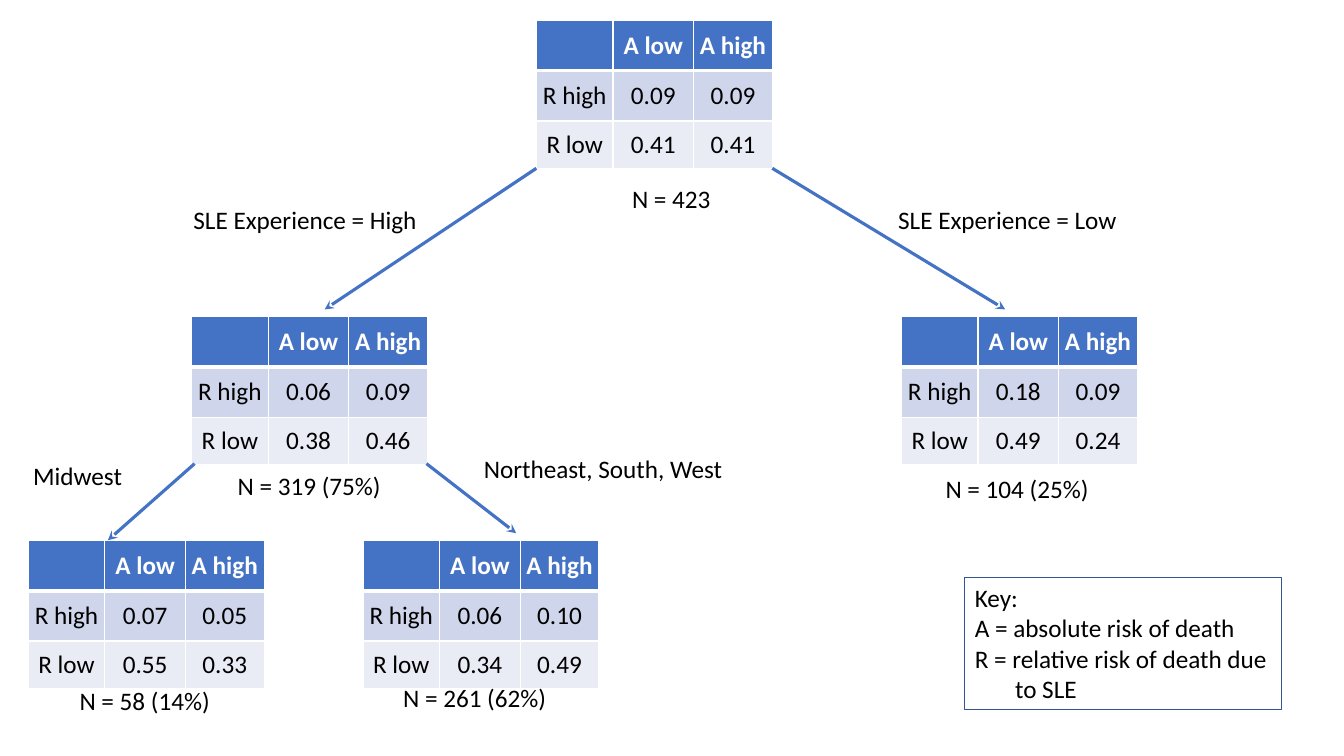
from pptx import Presentation
from pptx.dml.color import RGBColor
from pptx.enum.shapes import MSO_CONNECTOR as Connector, MSO_SHAPE as Shape
from pptx.enum.text import MSO_ANCHOR as Anchor, MSO_AUTO_SIZE as AutoSize, PP_ALIGN as Align
from pptx.oxml.ns import qn
from pptx.util import Inches, Pt
from lxml.etree import SubElement

COLORS = {"header": "4472C4", "band": "CFD5EA", "light": "E9EBF5",
          "white": "FFFFFF", "black": "000000", "key_line": "325491"}
COLUMN_WIDTHS = (0.76, 0.8, 0.78)
ROW_HEIGHTS = (0.5, 0.5, 0.47)
ROW_FILLS = ("header", "band", "light")


class RiskTree:
    font = "Calibri"
    size = Pt(18)

    def __init__(self, slide):
        self.slide = slide

    def color(self, name):
        return RGBColor.from_string(COLORS[name])

    def run(self, paragraph, content, color="black", bold=False):
        run = paragraph.add_run()
        run.text = content
        run.font.name, run.font.size, run.font.bold = self.font, self.size, bold
        run.font.color.rgb = self.color(color)

    def borders(self, cell, row):
        properties = cell._tc.get_or_add_tcPr()
        thick_side = {0: "lnB", 1: "lnT"}.get(row)
        for side in ("lnL", "lnR", "lnT", "lnB"):
            width = Pt(3 if side == thick_side else 1)
            line = SubElement(properties, qn(f"a:{side}"), w=str(width))
            fill = SubElement(line, qn("a:solidFill"))
            SubElement(fill, qn("a:srgbClr"), val=COLORS["white"])

    def risk_table(self, left, top, high_risks, low_risks):
        rows = (("", "A low", "A high"), ("R high", *high_risks), ("R low", *low_risks))
        table = self.slide.shapes.add_table(
            3, 3, Inches(left), Inches(top),
            Inches(sum(COLUMN_WIDTHS)), Inches(sum(ROW_HEIGHTS))).table
        for column, width in zip(table.columns, COLUMN_WIDTHS):
            column.width = Inches(width)
        for r, (values, height) in enumerate(zip(rows, ROW_HEIGHTS)):
            table.rows[r].height = Inches(height)
            for c, value in enumerate(values):
                cell = table.cell(r, c)
                cell.margin_left = cell.margin_right = cell.margin_top = cell.margin_bottom = 0
                cell.vertical_anchor = Anchor.MIDDLE
                self.borders(cell, r)
                cell.fill.solid()
                cell.fill.fore_color.rgb = self.color(ROW_FILLS[r])
                if value:
                    paragraph = cell.text_frame.paragraphs[0]
                    paragraph.alignment = Align.CENTER
                    self.run(paragraph, value, "white" if r == 0 else "black", r == 0)

    def label(self, left, top, width, content):
        box = self.slide.shapes.add_textbox(Inches(left), Inches(top), Inches(width), Inches(0.4))
        frame = box.text_frame
        frame.word_wrap, frame.auto_size = False, AutoSize.SHAPE_TO_FIT_TEXT
        self.run(frame.paragraphs[0], content)

    def branch(self, *ends):
        arrow = self.slide.shapes.add_connector(Connector.STRAIGHT, *map(Inches, ends))
        arrow.line.color.rgb = self.color("header")
        arrow.line.width = Pt(2.25)
        SubElement(arrow.line._get_or_add_ln(), qn("a:tailEnd"), type="stealth")
        SubElement(arrow._element.spPr, qn("a:effectLst"))

    def key(self, left, top, width, height, lines):
        box = self.slide.shapes.add_shape(
            Shape.RECTANGLE, Inches(left), Inches(top), Inches(width), Inches(height))
        box.shadow.inherit = False
        box.fill.background()
        box.line.color.rgb = self.color("key_line")
        box.line.width = Pt(0.75)
        frame = box.text_frame
        frame.word_wrap, frame.auto_size = False, AutoSize.SHAPE_TO_FIT_TEXT
        frame.vertical_anchor = Anchor.TOP
        for i, (content, indent) in enumerate(lines):
            paragraph = frame.add_paragraph() if i else frame.paragraphs[0]
            paragraph.alignment = Align.LEFT
            if indent:
                paragraph._p.get_or_add_pPr().set("marL", str(Inches(indent)))
            self.run(paragraph, content)


presentation = Presentation()
presentation.slide_width, presentation.slide_height = Inches(13.33), Inches(7.5)
tree = RiskTree(presentation.slides.add_slide(presentation.slide_layouts[6]))

for risk_group in (
    (5.32, 0.2, ("0.09", "0.09"), ("0.41", "0.41")),
    (1.9, 3.14, ("0.06", "0.09"), ("0.38", "0.46")),
    (8.94, 3.14, ("0.18", "0.09"), ("0.49", "0.24")),
    (0.28, 5.36, ("0.07", "0.05"), ("0.55", "0.33")),
    (3.6, 5.36, ("0.06", "0.10"), ("0.34", "0.49")),
):
    tree.risk_table(*risk_group)

for ends in (
    (5.32, 1.67, 3.22, 3.07),
    (7.66, 1.67, 9.97, 3.07),
    (1.93, 4.6, 1.07, 5.36),
    (4.23, 4.6, 5.12, 5.29),
):
    tree.branch(*ends)

for caption in (
    (1.82, 1.98, 2.44, "SLE Experience = High"),
    (8.81, 1.98, 2.4, "SLE Experience = Low"),
    (0.23, 4.52, 1.09, "Midwest"),
    (4.7, 4.45, 2.59, "Northeast, South, West"),
    (6.17, 1.77, 0.99, "N = 423"),
    (2.26, 4.62, 1.64, "N = 319 (75%)"),
    (9.28, 4.65, 1.64, "N = 104 (25%)"),
    (0.69, 6.75, 1.51, "N = 58 (14%)"),
    (3.9, 6.72, 1.64, "N = 261 (62%)"),
):
    tree.label(*caption)

tree.key(9.57, 5.73, 3.14, 1.31, (
    ("Key:", 0),
    ("A = absolute risk of death", 0),
    ("R = relative risk of death due", 0),
    ("to SLE", 0.4),
))

presentation.save("out.pptx")
